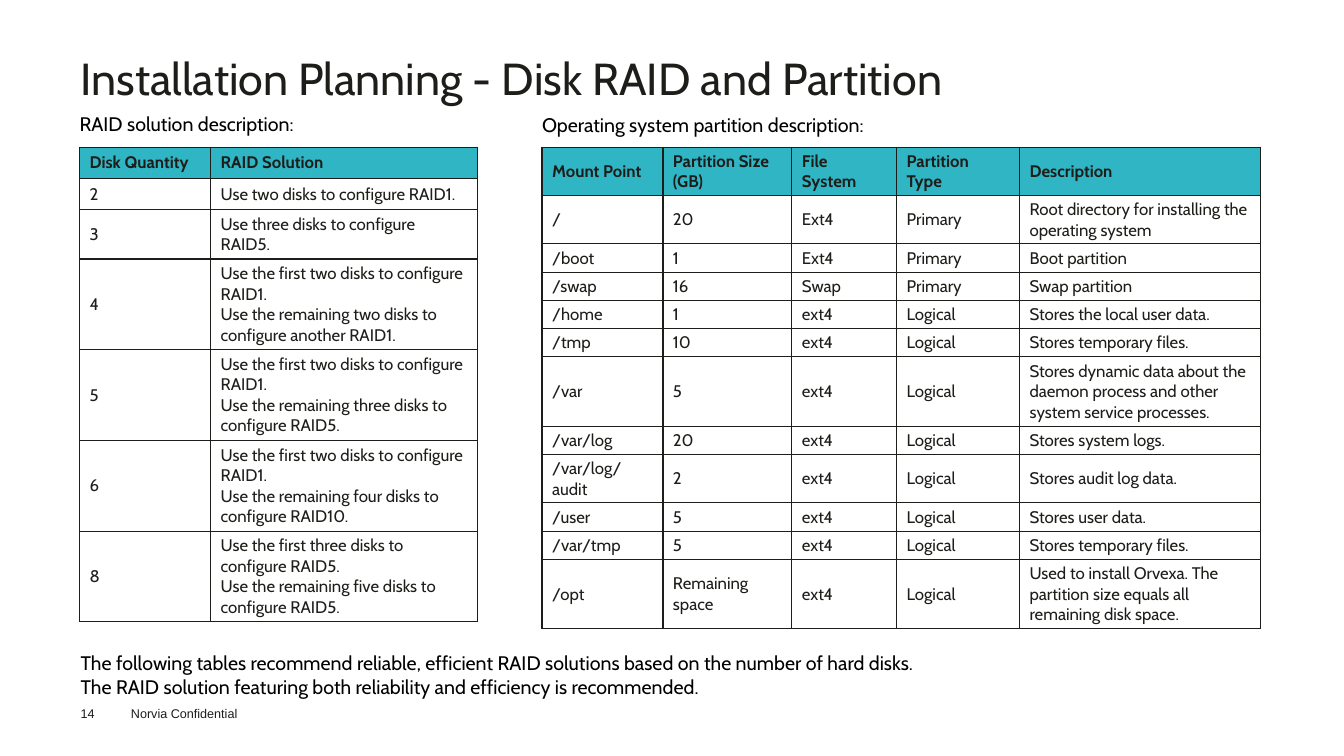
from lxml import etree
from pptx import Presentation
from pptx.dml.color import RGBColor
from pptx.enum.text import MSO_ANCHOR, MSO_AUTO_SIZE, PP_ALIGN
from pptx.oxml.ns import qn
from pptx.util import Inches, Pt

LEFT, TOP, MIDDLE = PP_ALIGN.LEFT, MSO_ANCHOR.TOP, MSO_ANCHOR.MIDDLE
NO_AUTOFIT = MSO_AUTO_SIZE.NONE
COLORS = {"ink": "1D1D1A", "black": "000000", "footer": "1D1D1B", "header": "30B5C5"}
ROW_HEIGHTS = {1: 0.28, 2: 0.48, 3: 0.69, 4: 0.9}  # by lines of text in the row


def write(frame, text, size, color, bold=False, font="Cabin"):
    frame.text = text
    frame.word_wrap = True
    for paragraph in frame.paragraphs:
        paragraph.alignment = LEFT
        font_format = {"name": font, "size": Pt(size), "bold": bold}
        for attribute, value in font_format.items():
            setattr(paragraph.font, attribute, value)
        paragraph.font.color.rgb = RGBColor.from_string(COLORS[color])


def outline_cell(cell):
    properties = cell._tc.get_or_add_tcPr()
    for side in ("a:lnL", "a:lnR", "a:lnT", "a:lnB"):
        line = etree.SubElement(properties, qn(side), w=str(Pt(1)))
        fill = etree.SubElement(line, qn("a:solidFill"))
        etree.SubElement(fill, qn("a:srgbClr"), val=COLORS["ink"])


prs = Presentation()
prs.slide_width, prs.slide_height = Inches(13.34), Inches(7.5)
slide = prs.slides.add_slide(prs.slide_layouts[5])

no_margins = {"margin_left": 0, "margin_right": 0, "margin_top": 0, "margin_bottom": 0}
title = slide.shapes.title
title_place = {"left": 0.8, "top": 0.5, "width": 11.75, "height": 0.6}
for attribute, value in title_place.items():
    setattr(title, attribute, Inches(value))
title_format = {**no_margins, "vertical_anchor": TOP, "auto_size": NO_AUTOFIT}
for attribute, value in title_format.items():
    setattr(title.text_frame, attribute, value)
write(title.text_frame, "Installation Planning - Disk RAID and Partition", 32, "ink")

closing_note = (
    "The following tables recommend reliable, efficient RAID solutions "
    "based on the number of hard disks.\n"
    "The RAID solution featuring both reliability and efficiency is recommended."
)
texts = [
    ((0.79, 1.11, 4, 0.24), "RAID solution description:", 14, "black", "Cabin"),
    ((5.38, 1.12, 6.85, 0.24), "Operating system partition description:", 14, "black", "Cabin"),
    ((0.8, 6.46, 8.75, 0.47), closing_note, 14, "black", "Cabin"),
    ((0.8, 7, 0.4, 0.15), "14", 9, "footer", "Arial"),
    ((1.3, 7, 1.6, 0.15), "Norvia Confidential", 9, "footer", "Arial"),
]
for place, text, size, color, font in texts:
    frame = slide.shapes.add_textbox(*map(Inches, place)).text_frame
    for attribute, value in no_margins.items():
        setattr(frame, attribute, value)
    write(frame, text, size, color, font=font)

first_two = "Use the first two disks to configure RAID1.\n"
raid_rows = [
    ("Disk Quantity", "RAID Solution"),
    ("2", "Use two disks to configure RAID1."),
    ("3", "Use three disks to configure RAID5."),
    ("4", first_two + "Use the remaining two disks to configure another RAID1."),
    ("5", first_two + "Use the remaining three disks to configure RAID5."),
    ("6", first_two + "Use the remaining four disks to configure RAID10."),
    ("8", "Use the first three disks to configure RAID5.\n"
          "Use the remaining five disks to configure RAID5."),
]
raid_heights = [0.31, 0.31, 0.49] + [ROW_HEIGHTS[4]] * 4

partition_rows = [
    ("Mount Point", "Partition Size\n(GB)", "File\nSystem", "Partition\nType", "Description"),
    ("/", "20", "Ext4", "Primary", "Root directory for installing the operating system"),
    ("/boot", "1", "Ext4", "Primary", "Boot partition"),
    ("/swap", "16", "Swap", "Primary", "Swap partition"),
    ("/home", "1", "ext4", "Logical", "Stores the local user data."),
    ("/tmp", "10", "ext4", "Logical", "Stores temporary files."),
    ("/var", "5", "ext4", "Logical",
     "Stores dynamic data about the daemon process and other system service processes."),
    ("/var/log", "20", "ext4", "Logical", "Stores system logs."),
    ("/var/log/audit", "2", "ext4", "Logical", "Stores audit log data."),
    ("/user", "5", "ext4", "Logical", "Stores user data."),
    ("/var/tmp", "5", "ext4", "Logical", "Stores temporary files."),
    ("/opt", "Remaining space", "ext4", "Logical",
     "Used to install Orvexa. The partition size equals all remaining disk space."),
]
partition_lines = [2, 2, 1, 1, 1, 1, 3, 1, 2, 1, 1, 3]
partition_heights = [ROW_HEIGHTS[lines] for lines in partition_lines]

cell_format = {
    "vertical_anchor": MIDDLE,
    "margin_left": Inches(0.1), "margin_right": Inches(0.1),
    "margin_top": Inches(0.04), "margin_bottom": Inches(0.04),
}
tables = [
    (0.79, [1.3, 2.65], raid_heights, raid_rows),
    (5.38, [1.2, 1.28, 1.04, 1.22, 2.39], partition_heights, partition_rows),
]
for left, widths, heights, rows in tables:
    table = slide.shapes.add_table(
        len(rows), len(widths), Inches(left), Inches(1.46),
        Inches(sum(widths)), Inches(sum(heights)),
    ).table
    table.horz_banding = False
    for column, width in zip(table.columns, widths):
        column.width = Inches(width)
    for r, (row, height, values) in enumerate(zip(table.rows, heights, rows)):
        row.height = Inches(height)
        for cell, value in zip(row.cells, values):
            for attribute, setting in cell_format.items():
                setattr(cell, attribute, setting)
            write(cell.text_frame, value, 12, "ink", bold=r == 0)
            outline_cell(cell)
            if r == 0:
                cell.fill.solid()
                cell.fill.fore_color.rgb = RGBColor.from_string(COLORS["header"])
            else:
                cell.fill.background()

prs.save("out.pptx")
